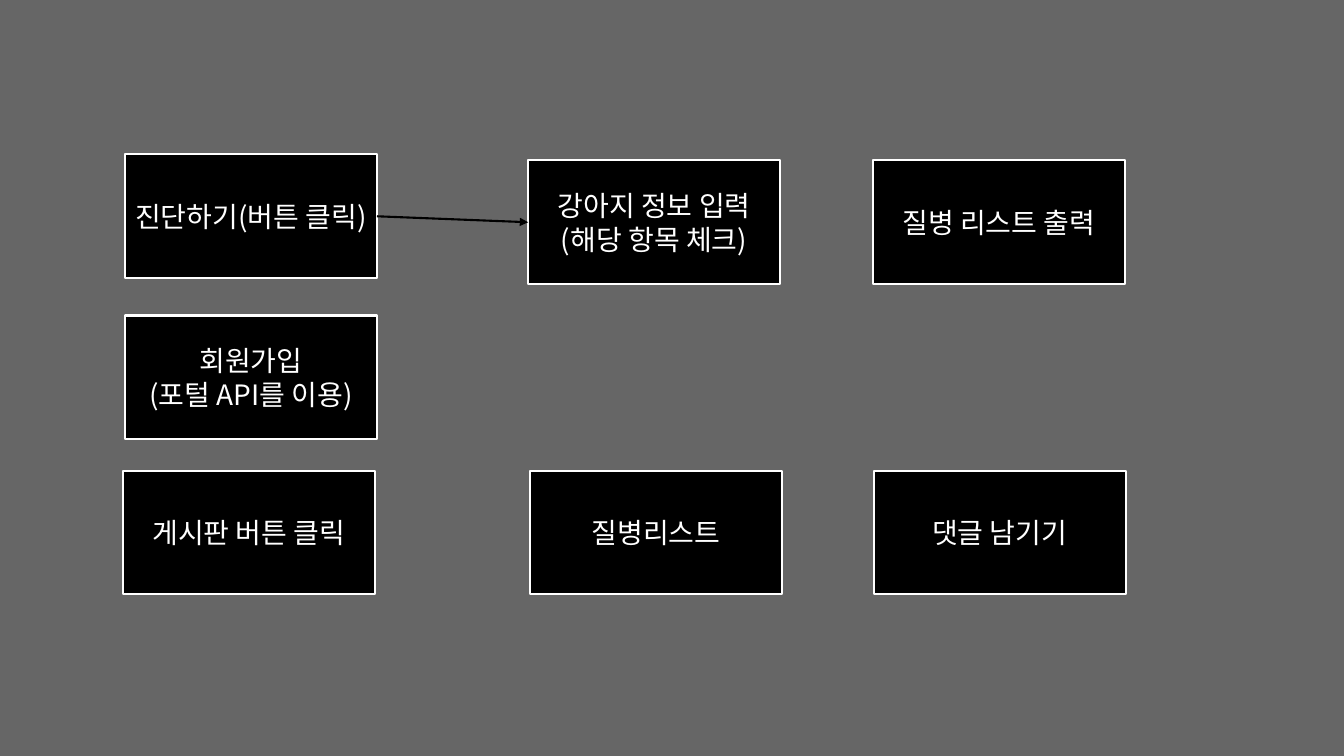
from dataclasses import dataclass

import lxml.etree
import pptx
import pptx.dml.color
import pptx.enum.shapes
import pptx.enum.text
import pptx.oxml.ns
import pptx.shapes.autoshape
import pptx.slide
import pptx.util

COLOURS = {"black": "000000", "white": "FFFFFF"}
FONT = "Noto Sans CJK KR"
BOX_WIDTH, BOX_HEIGHT = pptx.util.Cm(6.35), pptx.util.Cm(3.12)
LINE_WIDTH = pptx.util.Pt(1.5)
RIGHT_SITE, LEFT_SITE = 3, 1


@dataclass
class Step:
    left: float
    top: float
    lines: tuple[str, ...]


DIAGNOSE = Step(3.15, 3.89, ("진단하기(버튼 클릭)",))
DOG_DETAILS = Step(13.31, 4.04, ("강아지 정보 입력", "(해당 항목 체크)"))
OTHER_STEPS = (
    Step(13.36, 11.86, ("질병리스트",)),
    Step(3.15, 7.95, ("회원가입", "(포털 API를 이용)")),
    Step(22.02, 11.86, ("댓글 남기기",)),
    Step(22, 4.04, ("질병 리스트 출력",)),
    Step(3.1, 11.86, ("게시판 버튼 클릭",)),
)


def colour(name: str) -> pptx.dml.color.RGBColor:
    return pptx.dml.color.RGBColor.from_string(COLOURS[name])


def add_element(parent: lxml.etree.ElementBase, tag: str, **attributes: str) -> None:
    lxml.etree.SubElement(parent, pptx.oxml.ns.qn(tag), attributes)


def add_black_rectangle(page: pptx.slide.Slide, left: int, top: int, width: int,
                        height: int) -> pptx.shapes.autoshape.Shape:
    box = page.shapes.add_shape(pptx.enum.shapes.MSO_SHAPE.RECTANGLE, left, top, width, height)
    box.shadow.inherit = False
    box.fill.solid()
    box.fill.fore_color.rgb = colour("black")
    return box


def add_shade(page: pptx.slide.Slide, width: int, height: int) -> None:
    """Cover the page with black at 60% opacity."""
    shade = add_black_rectangle(page, 0, 0, width, height)
    shade.line.fill.background()
    fill_colour = shade._element.spPr.find(".//" + pptx.oxml.ns.qn("a:srgbClr"))
    add_element(fill_colour, "a:alpha", val="60000")


def add_step(page: pptx.slide.Slide, step: Step) -> pptx.shapes.autoshape.Shape:
    box = add_black_rectangle(page, pptx.util.Cm(step.left), pptx.util.Cm(step.top),
                              BOX_WIDTH, BOX_HEIGHT)
    box.line.color.rgb = colour("white")
    box.line.width = LINE_WIDTH
    frame = box.text_frame
    frame.word_wrap = True
    frame.vertical_anchor = pptx.enum.text.MSO_ANCHOR.MIDDLE
    for index, text in enumerate(step.lines):
        para = frame.add_paragraph() if index else frame.paragraphs[0]
        para.alignment = pptx.enum.text.PP_ALIGN.CENTER
        span = para.add_run()
        span.text = text
        span.font.size = pptx.util.Pt(20)
        span.font.color.rgb = colour("white")
        span.font.name = FONT
        add_element(span._r.get_or_add_rPr(), "a:ea", typeface=FONT)
    return box


def add_arrow(page: pptx.slide.Slide, start: pptx.shapes.autoshape.Shape,
              end: pptx.shapes.autoshape.Shape) -> None:
    arrow = page.shapes.add_connector(pptx.enum.shapes.MSO_CONNECTOR.STRAIGHT, 0, 0, 0, 0)
    arrow.begin_connect(start, RIGHT_SITE)
    arrow.end_connect(end, LEFT_SITE)
    arrow.line.color.rgb = colour("black")
    arrow.line.width = LINE_WIDTH
    properties = arrow._element.spPr
    add_element(properties.find(pptx.oxml.ns.qn("a:ln")), "a:tailEnd", type="triangle")
    add_element(properties, "a:effectLst")


def main() -> None:
    deck = pptx.Presentation()
    deck.slide_width, deck.slide_height = pptx.util.Cm(33.87), pptx.util.Cm(19.05)
    page = deck.slides.add_slide(deck.slide_layouts.get_by_name("Blank"))
    page.background.fill.solid()
    page.background.fill.fore_color.rgb = colour("white")
    add_shade(page, deck.slide_width, deck.slide_height)
    diagnose_box = add_step(page, DIAGNOSE)
    details_box = add_step(page, DOG_DETAILS)
    for step in OTHER_STEPS:
        add_step(page, step)
    add_arrow(page, diagnose_box, details_box)
    deck.save("out.pptx")


if __name__ == "__main__":
    main()
